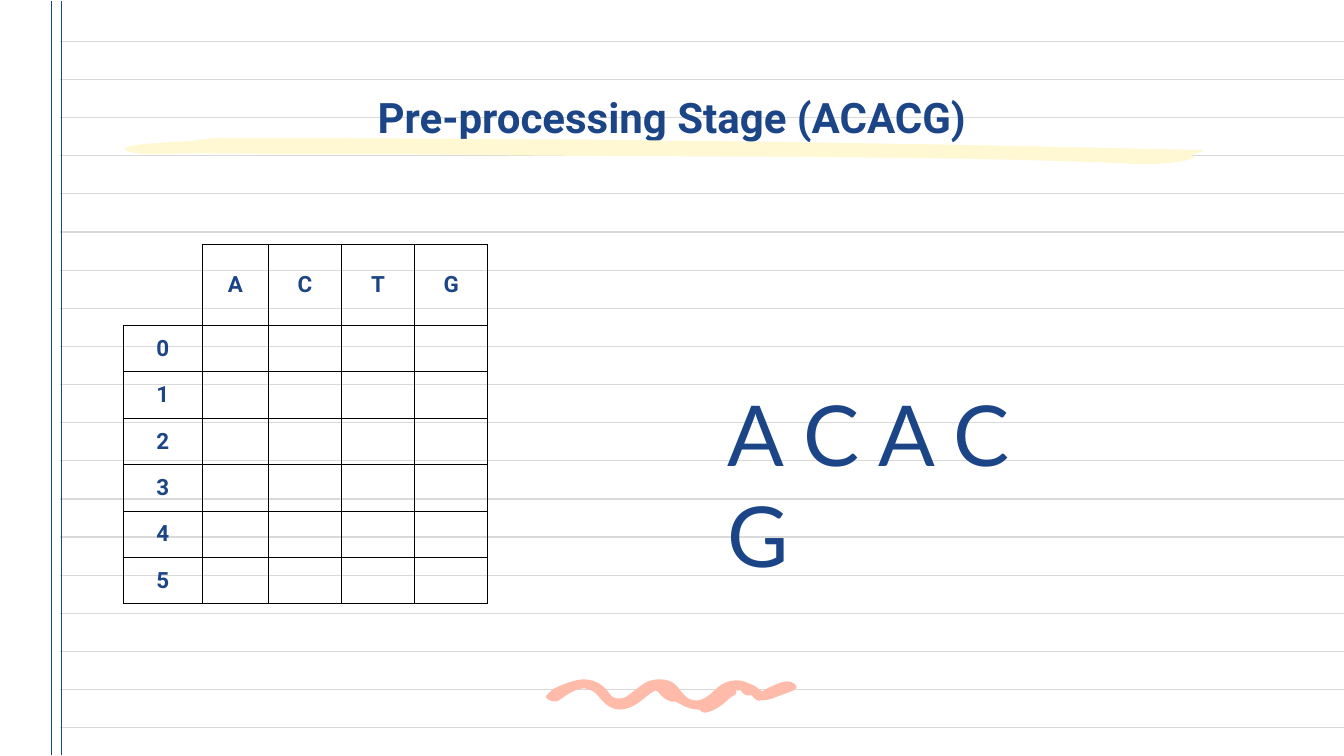
from lxml import etree
from pptx import Presentation
from pptx.dml.color import RGBColor
from pptx.enum.shapes import MSO_CONNECTOR
from pptx.enum.text import MSO_ANCHOR, MSO_AUTO_SIZE, PP_ALIGN
from pptx.oxml.ns import qn
from pptx.util import Inches, Pt

TITLE = "Pre-processing Stage (ACACG)"
PATTERN = "A C A C G"
LETTERS = ["A", "C", "T", "G"]
STATES = ["0", "1", "2", "3", "4", "5"]

NAVY = RGBColor(0x1C, 0x45, 0x87)
RULE_GREY = RGBColor(0xD9, 0xD9, 0xD9)
BLACK = RGBColor(0, 0, 0)
CORAL = RGBColor(0xFF, 0xBB, 0xAA)
CREAM = RGBColor(0xFF, 0xF8, 0xD3)

SLIDE_W, SLIDE_H = 13.33, 7.5
RULE_COUNT, FIRST_RULE, LAST_RULE = 19, 0.41, 7.22
MARGIN_LINES = [0.51, 0.61]
COLUMN_WIDTHS = [0.79, 0.65, 0.73, 0.72, 0.73]
HEADER_HEIGHT, STATE_HEIGHT = 0.8, 0.46

# Outlines: a start point, then straight (x, y) or cubic (x1, y1, x2, y2, x, y) steps.
HIGHLIGHTS = [
    [(2.21, 1.37), (5.49, 1.37, 8.74, 1.41, 11.93, 1.49),
     (12.01, 1.49, 11.64, 1.6, 11.35, 1.6), (8.16, 1.52, 4.91, 1.48, 1.64, 1.47),
     (1.63, 1.47, 1.89, 1.37, 2.21, 1.37)],
    [(2.29, 1.4), (2.76, 1.4, 3.29, 1.41, 3.68, 1.41),
     (4.61, 1.42, 5.55, 1.43, 6.49, 1.43), (8.16, 1.45, 9.98, 1.44, 11.55, 1.51),
     (12.1, 1.53, 11.79, 1.63, 11.31, 1.63), (11.15, 1.62),
     (9.73, 1.56, 8.14, 1.56, 6.62, 1.55), (5.77, 1.55, 4.94, 1.54, 4.09, 1.53),
     (2.97, 1.53), (1.98, 1.52), (1.55, 1.53), (1.37, 1.53, 1.27, 1.51, 1.25, 1.49),
     (1.24, 1.48), (1.2, 1.46, 1.36, 1.43, 1.56, 1.42), (1.76, 1.4, 2.02, 1.4, 2.29, 1.4)],
]
SQUIGGLE = [
    (5.44, 6.88), (5.48, 6.84), (5.55, 6.8, 5.71, 6.74, 5.78, 6.74),
    (5.87, 6.74, 5.96, 6.77, 6.03, 6.86), (6.06, 6.9, 6.07, 6.92, 6.12, 6.93),
    (6.18, 6.93, 6.21, 6.92, 6.24, 6.89), (6.29, 6.86, 6.34, 6.81, 6.39, 6.78),
    (6.44, 6.75, 6.49, 6.74, 6.54, 6.74), (6.59, 6.74, 6.63, 6.75, 6.67, 6.77),
    (6.76, 6.83, 6.78, 6.95, 6.91, 6.95), (7.04, 6.94, 7.09, 6.81, 7.2, 6.77),
    (7.23, 6.76, 7.27, 6.75, 7.31, 6.75), (7.36, 6.75, 7.41, 6.77, 7.45, 6.79),
    (7.49, 6.8, 7.54, 6.85, 7.56, 6.86), (7.59, 6.84),
    (7.65, 6.81, 7.75, 6.76, 7.81, 6.76), (7.87, 6.76, 7.94, 6.82, 7.87, 6.85),
    (7.8, 6.88, 7.73, 6.9, 7.66, 6.93), (7.6, 6.95, 7.55, 6.95, 7.52, 6.95),
    (7.49, 6.94, 7.47, 6.92, 7.46, 6.9), (7.41, 6.9), (7.38, 6.89, 7.36, 6.87, 7.35, 6.85),
    (7.3, 6.85), (7.31, 6.87, 7.3, 6.89, 7.28, 6.9), (7.23, 6.92, 7.2, 6.97, 7.15, 7),
    (7.11, 7.03, 7.05, 7.06, 7, 7.07), (6.97, 7.07, 6.95, 7.06, 6.94, 7.04),
    (6.87, 7.04, 6.8, 7.02, 6.74, 6.98), (6.7, 6.96), (6.66, 6.96),
    (6.55, 6.93, 6.55, 6.86, 6.5, 6.85), (6.45, 6.88),
    (6.36, 6.95, 6.28, 7.03, 6.16, 7.04), (6.04, 7.04, 5.99, 6.97, 5.92, 6.89),
    (5.88, 6.85, 5.83, 6.83, 5.79, 6.83), (5.72, 6.83, 5.64, 6.88, 5.57, 6.93),
    (5.54, 6.95), (5.5, 6.98, 5.36, 6.93, 5.44, 6.88),
]


def add_line(shapes, start, end, color, width):
    line = shapes.add_connector(MSO_CONNECTOR.STRAIGHT, *map(Inches, start + end))
    line.line.color.rgb = color
    line.line.width = Pt(width)
    etree.SubElement(line._element.spPr, qn("a:effectLst"))


def add_brush_stroke(shapes, outline, color, steps=8):
    """Fill an outline, following each cubic step with short straight pieces."""
    points = [outline[0]]
    for piece in outline[1:]:
        if len(piece) == 2:
            points.append(piece)
            continue
        corners = [points[-1], piece[:2], piece[2:4], piece[4:]]
        for step in range(1, steps + 1):
            t = step / steps
            weights = ((1 - t) ** 3, 3 * t * (1 - t) ** 2, 3 * t * t * (1 - t), t ** 3)
            points.append(tuple(sum(w * corner[axis] for w, corner in zip(weights, corners))
                                for axis in (0, 1)))
    points = [(Inches(x), Inches(y)) for x, y in points]
    builder = shapes.build_freeform(*points[0])
    builder.add_line_segments(points[1:], close=True)
    stroke = builder.convert_to_shape()
    stroke.fill.solid()
    stroke.fill.fore_color.rgb = color
    stroke.line.fill.background()
    stroke.shadow.inherit = False


def style_text(paragraph, font_name, size, bold=False):
    font = paragraph.runs[0].font
    font.name, font.size, font.bold = font_name, Pt(size), bold
    font.color.rgb = NAVY


def set_borders(cell, drawn_sides):
    properties = cell._tc.get_or_add_tcPr()
    for index, side in enumerate("LRTB"):
        border = etree.Element(qn(f"a:ln{side}"), w=str(Pt(0.75)))
        if side in drawn_sides:
            fill = etree.SubElement(border, qn("a:solidFill"))
            etree.SubElement(fill, qn("a:srgbClr"), val=str(BLACK))
        else:
            etree.SubElement(border, qn("a:noFill"))
        properties.insert(index, border)


def add_shift_table(shapes):
    rows = [[""] + LETTERS] + [[state] + [""] * len(LETTERS) for state in STATES]
    heights = [HEADER_HEIGHT] + [STATE_HEIGHT] * len(STATES)
    table = shapes.add_table(len(rows), len(COLUMN_WIDTHS), Inches(1.22), Inches(2.43),
                             Inches(sum(COLUMN_WIDTHS)), Inches(sum(heights))).table
    table.first_row = table.horz_banding = False
    for column, width in zip(table.columns, COLUMN_WIDTHS):
        column.width = Inches(width)
    for r, (labels, height) in enumerate(zip(rows, heights)):
        table.rows[r].height = Inches(height)
        for c, label in enumerate(labels):
            cell = table.cell(r, c)
            cell.fill.background()
            set_borders(cell, "RB" if r == c == 0 else "LRTB")
            if label:
                cell.text_frame.text = label
                cell.vertical_anchor = MSO_ANCHOR.MIDDLE
                cell.margin_left = cell.margin_right = Inches(0.1)
                cell.margin_top = cell.margin_bottom = Inches(0.1)
                paragraph = cell.text_frame.paragraphs[0]
                paragraph.alignment = PP_ALIGN.CENTER
                style_text(paragraph, "Roboto", 16, bold=True)


def add_pattern(shapes):
    pattern = shapes.add_textbox(Inches(7.12), Inches(3.75), Inches(3.45), Inches(1.11))
    frame = pattern.text_frame
    frame.text = PATTERN
    frame.word_wrap = True
    frame.auto_size = MSO_AUTO_SIZE.SHAPE_TO_FIT_TEXT
    style_text(frame.paragraphs[0], "Lato", 60)


def place_title(title):
    title.left, title.top = Inches(1.05), Inches(0.91)
    title.width, title.height = Inches(11.23), Inches(0.84)
    frame = title.text_frame
    frame.text = TITLE
    frame.auto_size = MSO_AUTO_SIZE.NONE
    frame.vertical_anchor = MSO_ANCHOR.TOP
    frame.margin_left = frame.margin_right = frame.margin_top = frame.margin_bottom = 0
    frame.paragraphs[0].alignment = PP_ALIGN.CENTER
    style_text(frame.paragraphs[0], "Roboto", 30, bold=True)
    # Bring the title in front of the ruled paper.
    title._element.getparent().append(title._element)


def main():
    deck = Presentation()
    deck.slide_width, deck.slide_height = Inches(SLIDE_W), Inches(SLIDE_H)
    shapes = deck.slides.add_slide(deck.slide_layouts[5]).shapes

    rule_gap = (LAST_RULE - FIRST_RULE) / (RULE_COUNT - 1)
    for index in range(RULE_COUNT):
        y = FIRST_RULE + index * rule_gap
        add_line(shapes, (0.6, y), (SLIDE_W, y), RULE_GREY, 0.86)
    for x in MARGIN_LINES:
        add_line(shapes, (x, 0.01), (x, SLIDE_H - 0.01), NAVY, 0.62)

    add_shift_table(shapes)
    add_pattern(shapes)
    place_title(shapes.title)
    add_brush_stroke(shapes, SQUIGGLE, CORAL)
    for highlight in HIGHLIGHTS:
        add_brush_stroke(shapes, highlight, CREAM)
    deck.save("out.pptx")


if __name__ == "__main__":
    main()
